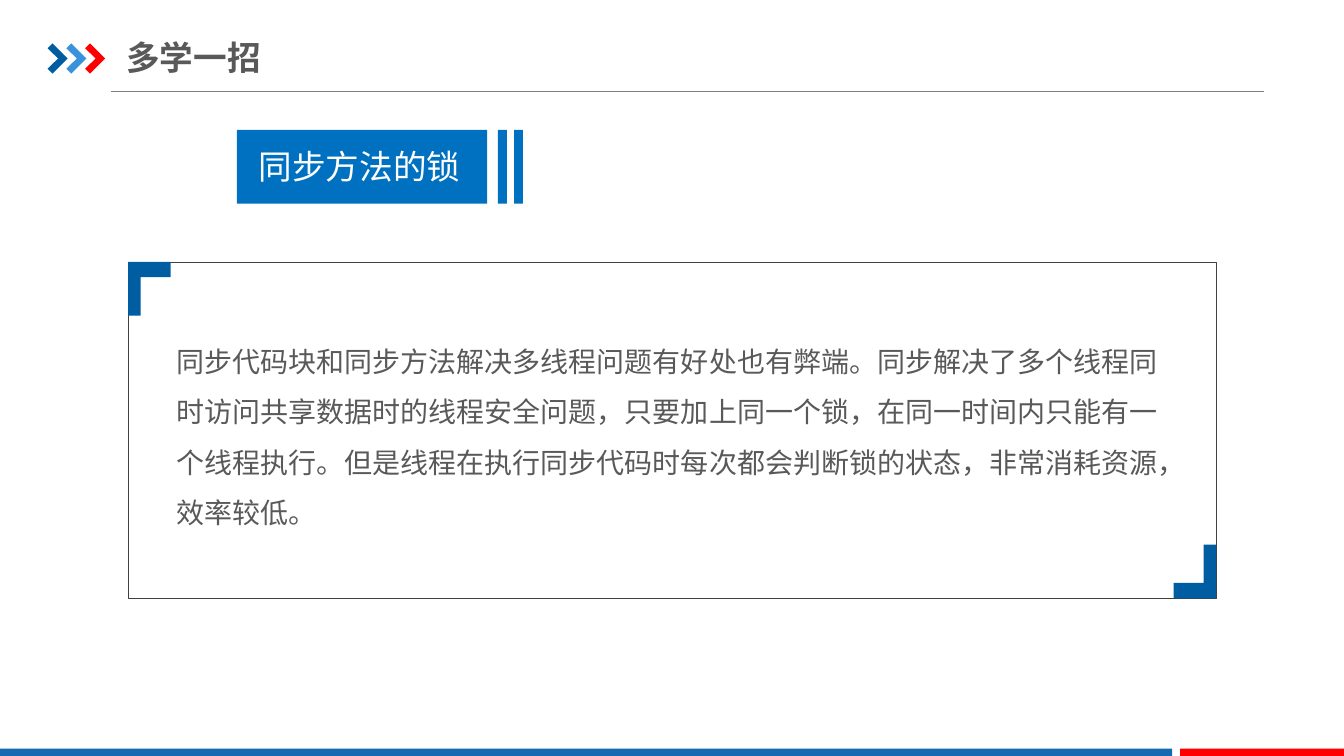
from dataclasses import dataclass

from lxml import etree
from pptx import Presentation, util as u
from pptx.dml.color import RGBColor
from pptx.enum import shapes, text
from pptx.oxml.ns import qn

SANS = "Noto Sans CJK SC"
NAVY, BLUE, RED, GREY = "005DA2", "0070C0", "FF0000", "595959"


@dataclass
class Bar:
    left: float
    top: float
    width: float
    height: float
    fill: str


@dataclass
class Label:
    left: float
    top: float
    width: float
    height: float
    words: str
    size: float
    ink: str
    font: str = SANS
    bold: bool = False
    grow: bool = True
    align: text.PP_ALIGN | None = None
    lines: float | None = None


@dataclass
class Shape:
    """Outline whose points are measured from left and top; turn -1 rotates it by 180 degrees."""
    left: float
    top: float
    points: list[tuple[float, float]]
    fill: str
    turn: int = 1


def paint(part, code: str) -> None:
    part.solid()
    part.fore_color.rgb = RGBColor.from_string(code)


def add_bar(slide, bar: Bar) -> None:
    box = slide.shapes.add_shape(
        shapes.MSO_SHAPE.RECTANGLE,
        u.Pt(bar.left), u.Pt(bar.top), u.Pt(bar.width), u.Pt(bar.height))
    box.shadow.inherit = False
    paint(box.fill, bar.fill)
    box.line.fill.background()


def add_form(slide, form: Shape) -> None:
    spots = [(u.Pt(form.left + form.turn * x), u.Pt(form.top + form.turn * y))
             for x, y in form.points]
    build = slide.shapes.build_freeform(*spots[0])
    build.add_line_segments(spots[1:], close=True)
    piece = build.convert_to_shape()
    piece.shadow.inherit = False
    paint(piece.fill, form.fill)
    piece.line.fill.background()


def add_label(slide, label: Label) -> None:
    box = slide.shapes.add_textbox(
        u.Pt(label.left), u.Pt(label.top), u.Pt(label.width), u.Pt(label.height))
    frame = box.text_frame
    frame.text = label.words
    frame.word_wrap = True
    if label.grow:
        frame.auto_size = text.MSO_AUTO_SIZE.SHAPE_TO_FIT_TEXT
    else:
        frame.margin_left = frame.margin_right = 0
        frame.margin_top = frame.margin_bottom = u.Pt(5)
        frame.vertical_anchor = text.MSO_ANCHOR.MIDDLE
    para = frame.paragraphs[0]
    para.alignment = label.align
    para.line_spacing = label.lines
    run = para.runs[0]
    run.font.size = u.Pt(label.size)
    run.font.bold = label.bold
    run.font.name = label.font
    run.font.color.rgb = RGBColor.from_string(label.ink)
    east = etree.SubElement(run.font._element, qn("a:ea"))
    east.set("typeface", SANS)


def add_rule(slide, left: float, right: float, top: float) -> None:
    rule = slide.shapes.add_connector(
        shapes.MSO_CONNECTOR.STRAIGHT, u.Pt(left), u.Pt(top), u.Pt(right), u.Pt(top))
    paint(rule.line.fill, "808080")
    rule.line.width = u.Pt(0.75)
    etree.SubElement(rule._element.spPr, qn("a:effectLst"))


def add_frame(slide, left: float, top: float, width: float, height: float) -> None:
    """Draw the thin panel border with a heavy bracket in two opposite corners."""
    frame = slide.shapes.add_shape(
        shapes.MSO_SHAPE.ROUNDED_RECTANGLE,
        u.Pt(left), u.Pt(top), u.Pt(width), u.Pt(height))
    frame.adjustments[0] = 0
    frame.shadow.inherit = False
    frame.fill.background()
    paint(frame.line.fill, "404040")
    frame.line.width = u.Pt(0.25)
    hook = [(0, 0), (30.3, 0), (30.3, 11), (8.8, 11), (8.8, 38.4), (0, 38.4)]
    add_form(slide, Shape(left, top, hook, NAVY))
    add_form(slide, Shape(left + width, top + height, hook, NAVY, -1))


BARS = [
    Bar(0, 534.8, 837.2, 6.2, "1369B2"),
    Bar(843, 534.8, 117, 6.2, RED),
    Bar(169.2, 92.8, 178.8, 52.6, BLUE),
    Bar(355.7, 92.8, 6.4, 52.6, BLUE),
    Bar(367.2, 92.8, 6.4, 52.6, BLUE),
]
LABELS = [
    Label(90.2, 21, 306.7, 39.6, "多学一招", 24, GREY, bold=True, grow=False),
    Label(177.8, 100.8, 160, 36, "同步方法的锁", 24, "FFFFFF", "Arial",
          align=text.PP_ALIGN.JUSTIFY),
    Label(118.8, 230.4, 722.2, 152.6,
          "同步代码块和同步方法解决多线程问题有好处也有弊端。"
          "同步解决了多个线程同时访问共享数据时的线程安全问题，"
          "只要加上同一个锁，在同一时间内只能有一个线程执行。"
          "但是线程在执行同步代码时每次都会判断锁的状态，"
          "非常消耗资源，效率较低。", 20, GREY, lines=1.5),
]
ARROW = [(0, 3.5), (3.5, 0), (14.3, 10.8), (3.5, 21.6), (0, 18.1), (7.6, 10.8)]


def main() -> None:
    deck = Presentation()
    deck.slide_width, deck.slide_height = u.Pt(960), u.Pt(540)
    slide = deck.slides.add_slide(deck.slide_layouts[6])
    add_rule(slide, 79.2, 903.2, 65.4)
    for step, fill in enumerate((NAVY, "3992DB", RED)):
        add_form(slide, Shape(34 + 13.4 * step, 31, ARROW, fill))
    for bar in BARS:
        add_bar(slide, bar)
    for label in LABELS:
        add_label(slide, label)
    add_frame(slide, 91.6, 187, 777, 240.4)
    deck.save("out.pptx")


if __name__ == "__main__":
    main()
